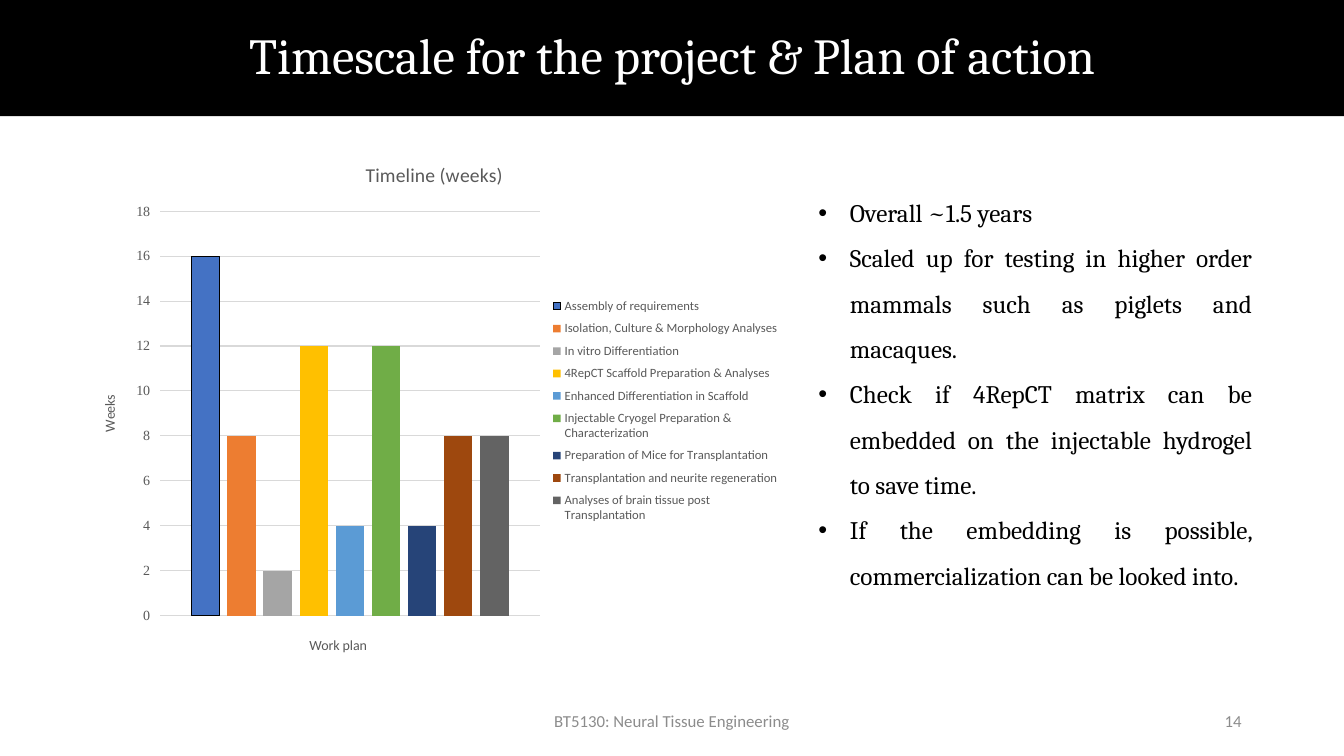
from lxml.etree import SubElement
from pptx import Presentation
from pptx.chart.data import CategoryChartData
from pptx.dml.color import RGBColor
from pptx.enum.chart import XL_CHART_TYPE, XL_LEGEND_POSITION, XL_TICK_MARK
from pptx.enum.shapes import MSO_SHAPE
from pptx.enum.text import MSO_ANCHOR, PP_ALIGN
from pptx.oxml import parse_xml
from pptx.oxml.ns import nsdecls, qn
from pptx.util import Pt

GREY = "595959"
FOOTER_GREY = "8C8C8C"
TASKS = [
    ("Assembly of requirements", 16, "4472C4"),
    ("Isolation, Culture & Morphology Analyses", 8, "ED7D31"),
    ("In vitro Differentiation", 2, "A5A5A5"),
    ("4RepCT Scaffold Preparation & Analyses", 12, "FFC000"),
    ("Enhanced Differentiation in Scaffold", 4, "5B9BD5"),
    ("Injectable Cryogel Preparation & Characterization", 12, "70AD47"),
    ("Preparation of Mice for Transplantation", 4, "264478"),
    ("Transplantation and neurite regeneration", 8, "9E480E"),
    ("Analyses of brain tissue post Transplantation", 8, "636363"),
]
ACTIONS = [
    "Overall ~1.5 years",
    "Scaled up for testing in higher order mammals such as piglets and macaques.",
    "Check if 4RepCT matrix can be embedded on the injectable hydrogel to save time.",
    "If the embedding is possible, commercialization can be looked into.",
]


def rgb(color):
    return RGBColor.from_string(color)


def set_font(font, size, color, name="Calibri"):
    font.size = Pt(size)
    font.name = name
    font.bold = False
    font.color.rgb = rgb(color)


def add_header(slide, text):
    header = slide.shapes.add_shape(MSO_SHAPE.RECTANGLE, 0, 0, Pt(960), Pt(83))
    header.shadow.inherit = False
    header.fill.solid()
    header.fill.fore_color.rgb = rgb("000000")
    header.line.fill.background()
    header.text_frame.vertical_anchor = MSO_ANCHOR.MIDDLE
    paragraph = header.text_frame.paragraphs[0]
    paragraph.text = text
    paragraph.alignment = PP_ALIGN.CENTER
    paragraph.line_spacing = 0.9
    set_font(paragraph.font, 36, "FFFFFF", "Cambria")


def add_text_frame(slide, left, top, width, height):
    box = slide.shapes.add_textbox(Pt(left), Pt(top), Pt(width), Pt(height))
    box.text_frame.word_wrap = True
    return box.text_frame


def add_footer(slide, text, left, width, alignment):
    frame = add_text_frame(slide, left, 500.5, width, 28.75)
    frame.vertical_anchor = MSO_ANCHOR.MIDDLE
    paragraph = frame.paragraphs[0]
    paragraph.text = text
    paragraph.alignment = alignment
    set_font(paragraph.font, 12, FOOTER_GREY)


def add_bullets(slide, items):
    frame = add_text_frame(slide, 577.5, 126.5, 324, 330.5)
    for index, item in enumerate(items):
        paragraph = frame.add_paragraph() if index else frame.paragraphs[0]
        paragraph.text = item
        paragraph.alignment = PP_ALIGN.JUSTIFY
        paragraph.line_spacing = 1.5
        set_font(paragraph.font, 18, "000000", "Cambria")
        properties = paragraph._p.get_or_add_pPr()
        properties.set("marL", str(Pt(22.5)))
        properties.set("indent", str(-Pt(22.5)))
        bullet_font = SubElement(properties, qn("a:buFont"))
        bullet_font.set("typeface", "Arial")
        SubElement(properties, qn("a:buChar")).set("char", "•")
        # Bullet elements must precede the default run properties.
        properties.append(properties.find(qn("a:defRPr")))


def set_title(owner, text, size):
    """Title a chart or an axis."""
    paragraph = (owner.chart_title if hasattr(owner, "chart_title")
                 else owner.axis_title).text_frame.paragraphs[0]
    paragraph.text = text
    set_font(paragraph.font, size, GREY)


def manual_layout(x, y, width, height, inner=False):
    """Return a layout element given in fractions of the chart area."""
    target = '<c:layoutTarget val="inner"/>' if inner else ""
    return parse_xml(
        f'<c:layout {nsdecls("c")}><c:manualLayout>{target}'
        '<c:xMode val="edge"/><c:yMode val="edge"/>'
        f'<c:x val="{x}"/><c:y val="{y}"/><c:w val="{width}"/><c:h val="{height}"/>'
        '</c:manualLayout></c:layout>')


def set_layout(element, layout):
    """Replace the layout of a plot area or a legend."""
    for old in element.findall(qn("c:layout")):
        element.remove(old)
    position = element.find(qn("c:legendPos"))
    element.insert(0 if position is None else element.index(position) + 1, layout)


def style_axes(chart):
    weeks, work_plan = chart.value_axis, chart.category_axis
    weeks.minimum_scale, weeks.maximum_scale, weeks.major_unit = 0, 18, 2
    weeks.major_tick_mark = XL_TICK_MARK.OUTSIDE
    weeks.format.line.fill.background()
    weeks.major_gridlines.format.line.color.rgb = rgb("D9D9D9")
    weeks.major_gridlines.format.line.width = Pt(0.75)
    set_font(weeks.tick_labels.font, 10, GREY, "Times New Roman")
    set_title(weeks, "Weeks", 10)
    set_title(work_plan, "Work plan", 10)
    work_plan.visible = False


def add_timeline_chart(slide, tasks):
    data = CategoryChartData()
    data.categories = ["1"]
    for name, weeks, _ in tasks:
        data.add_series(name, [weeks])
    chart = slide.shapes.add_chart(XL_CHART_TYPE.COLUMN_CLUSTERED, Pt(59), Pt(101.5),
                                   Pt(502.5), Pt(380), data).chart
    set_font(chart.font, 10, "000000")
    set_title(chart, "Timeline (weeks)", 14)
    style_axes(chart)

    plot = chart.plots[0]
    plot.gap_width, plot.overlap = 219, -27
    plot.vary_by_categories = False
    for series, (_, _, color) in zip(plot.series, tasks):
        series.format.fill.solid()
        series.format.fill.fore_color.rgb = rgb(color)
    outline = plot.series[0].format.line
    outline.color.rgb = rgb("000000")
    outline.width = Pt(0.75)

    chart.has_legend = True
    legend = chart.legend
    legend.position = XL_LEGEND_POSITION.RIGHT
    legend.include_in_layout = False
    set_font(legend.font, 9, GREY)
    set_layout(legend._element, manual_layout(0.67, 0.28, 0.32, 0.45))
    plot_area = chart._chartSpace.chart.plotArea
    set_layout(plot_area, manual_layout(0.11, 0.13, 0.54, 0.76, inner=True))


def main():
    presentation = Presentation()
    presentation.slide_width, presentation.slide_height = Pt(960), Pt(540)
    slide = presentation.slides.add_slide(presentation.slide_layouts[6])
    add_footer(slide, "BT5130: Neural Tissue Engineering", 318, 324, PP_ALIGN.CENTER)
    add_footer(slide, "14", 678, 216, PP_ALIGN.RIGHT)
    add_header(slide, "Timescale for the project & Plan of action")
    add_bullets(slide, ACTIONS)
    add_timeline_chart(slide, TASKS)
    presentation.save("out.pptx")


if __name__ == "__main__":
    main()
